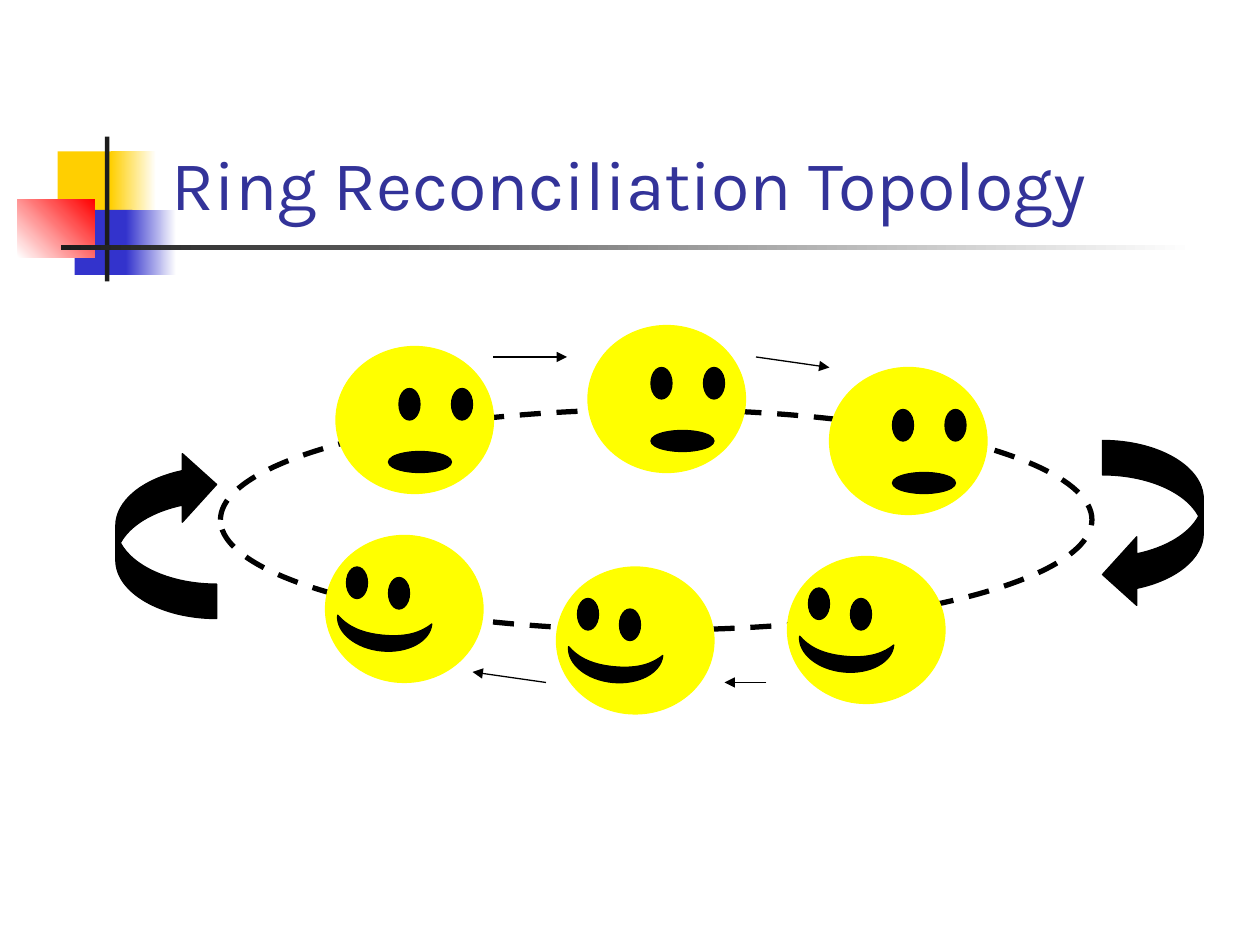
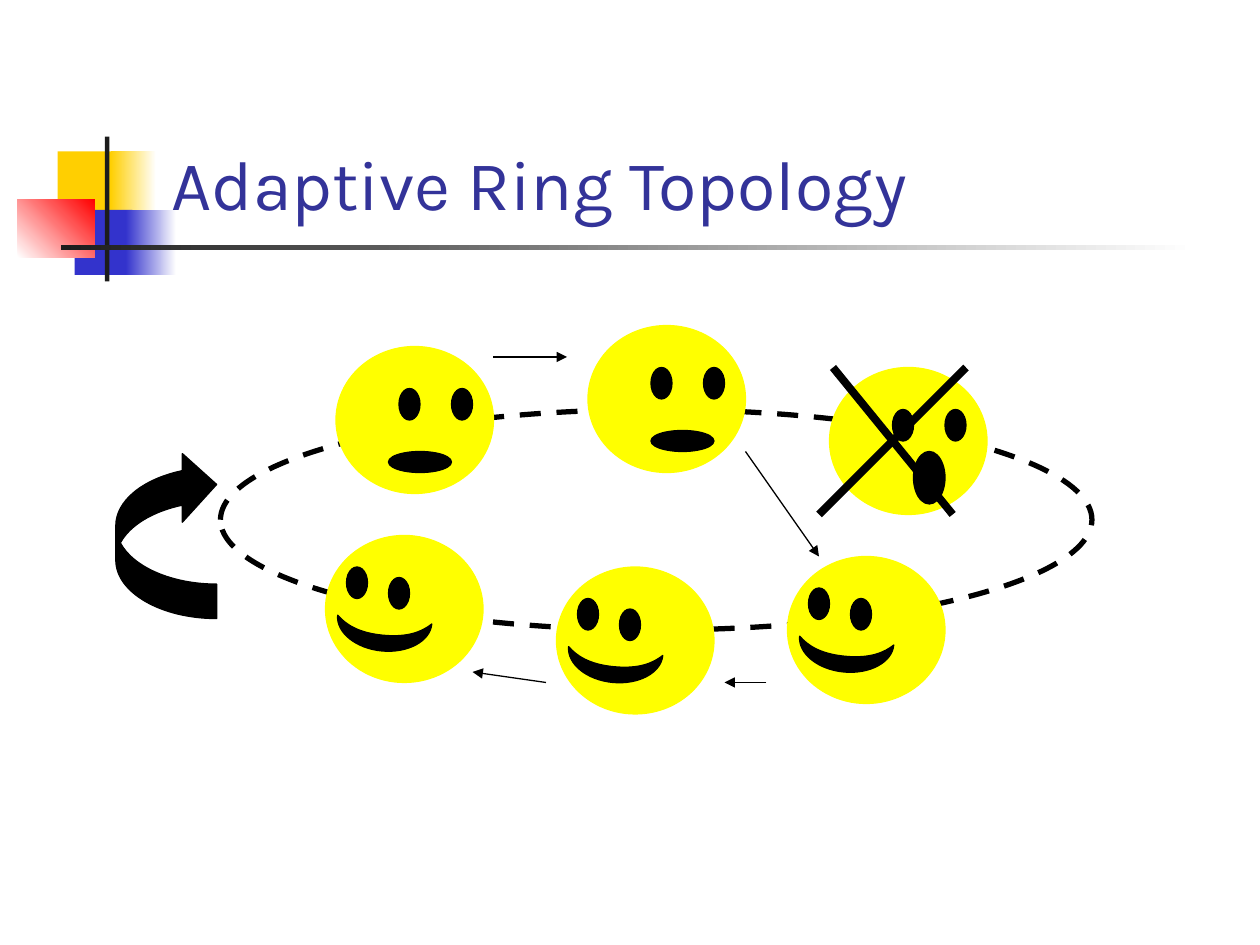
import math

import pptx
import pptx.dml.color
import pptx.enum.dml
import pptx.enum.shapes
import pptx.enum.text
import pptx.oxml
import pptx.oxml.ns
import pptx.util

Pt = pptx.util.Pt
RGBColor = pptx.dml.color.RGBColor
SHAPE = pptx.enum.shapes.MSO_SHAPE
qn = pptx.oxml.ns.qn
DRAWING_NS = pptx.oxml.ns.nsdecls("a")

WHITE = RGBColor(0xFF, 0xFF, 0xFF)
BLACK = RGBColor(0x00, 0x00, 0x00)
FACE_YELLOW = RGBColor(0xFF, 0xFF, 0x00)
GOLD = RGBColor(0xFF, 0xCF, 0x01)
BLUE = RGBColor(0x33, 0x33, 0xCC)
RED = RGBColor(0xFF, 0x00, 0x00)
CHARCOAL = RGBColor(0x1C, 0x1C, 0x1C)
TITLE_BLUE = RGBColor(0x33, 0x33, 0x99)
TITLE_FONT = "Karla"

RING_BOX = (126, 234, 498, 126)
FACE_SIZE = (90, 84)
EYE_SIZE = (12, 18)
SAD_EYES = [(66, 24), (36, 24)]
HAPPY_EYES = [(36, 24), (12, 18)]
FLAT_MOUTH = (36, 60, 36, 12)
SHIFTED_MOUTH = (30, 60, 36, 12)
GASPING_MOUTH = (48, 48, 18, 30)
SMILE_CORNER = (24, 30)
SMILE_TILT = 275.4
SMILE_START = (18, 0)
SMILE_CURVES = [
    [(8.06, 0), (0, 12.09), (0, 27)],
    [(0, 41.91), (8.06, 54), (18, 54)],
    [(13.4, 49.2), (9, 41.6), (9, 27)],
    [(9, 12.4), (13.4, 4.8), (18, 0)],
]

TOP_LEFT, TOP_MIDDLE, TOP_RIGHT = (192, 198), (336, 186), (474, 210)
HAPPY_FACES = [(450, 318), (318, 324), (186, 306)]
LEFT_TURN_CORNER = (66.2, 259.2)
RIGHT_TURN_CORNER = (630, 251.7)


def paint(shape, color, line_color=None):
    shape.shadow.inherit = False
    shape.fill.solid()
    shape.fill.fore_color.rgb = color
    if line_color is None:
        shape.line.fill.background()
    else:
        shape.line.color.rgb = line_color
        shape.line.width = Pt(0.75)


def add_solid(slide, preset, box, color, line_color=None):
    shape = slide.shapes.add_shape(preset, *map(Pt, box))
    paint(shape, color, line_color)
    return shape


def add_fade(slide, box, start, end, angle=0):
    shape = add_solid(slide, SHAPE.RECTANGLE, box, start)
    shape.fill.gradient()
    shape.fill.gradient_angle = angle
    for stop, color in zip(shape.fill.gradient_stops, (start, end)):
        stop.color.rgb = color


def add_outline(slide, corner, start, segments, rotation=0):
    def place(point):
        return Pt(corner[0] + point[0]), Pt(corner[1] + point[1])

    builder = slide.shapes.build_freeform(*place(start))
    builder.add_line_segments(
        [place(point) for segment in segments for point in segment], close=True)
    outline = builder.convert_to_shape()
    paint(outline, BLACK, BLACK)
    outline.rotation = rotation
    steps = iter(list(outline._element.iter(qn("a:lnTo"))))
    for segment in segments:
        first, *others = [next(steps) for _ in segment]
        if others:
            curve = pptx.oxml.parse_xml(f"<a:cubicBezTo {DRAWING_NS}/>")
            first.addprevious(curve)
            for step in (first, *others):
                curve.append(step[0])
                step.getparent().remove(step)


def add_stroke(slide, start, end, width=0.75, arrow=True):
    stroke = slide.shapes.add_connector(
        pptx.enum.shapes.MSO_CONNECTOR.STRAIGHT, *map(Pt, start + end))
    stroke.line.color.rgb = BLACK
    stroke.line.width = Pt(width)
    if arrow:
        stroke.line._get_or_add_ln().append(
            pptx.oxml.parse_xml(f'<a:tailEnd {DRAWING_NS} type="triangle"/>'))
    stroke._element.spPr.append(
        pptx.oxml.parse_xml(f"<a:effectLst {DRAWING_NS}/>"))


def add_emblem(slide, left, top):
    def at(x, y, width, height):
        return left + x, top + y, width, height

    add_solid(slide, SHAPE.RECTANGLE, at(23, 8.5, 34.5, 37.5), GOLD)
    add_fade(slide, at(53.2, 8.5, 26, 37.5), GOLD, WHITE)
    add_solid(slide, SHAPE.RECTANGLE, at(32.7, 42, 33, 37.2), BLUE)
    add_fade(slide, at(62, 42, 28.8, 37.2), BLUE, WHITE)
    add_fade(slide, at(0, 36, 44.3, 33.2), WHITE, RED, angle=45)
    add_solid(slide, SHAPE.RECTANGLE, at(50, 0, 2.5, 82.8), CHARCOAL)
    add_fade(slide, at(25, 62, 648, 2.8), CHARCOAL, WHITE)


def add_title(slide, box, wording):
    title = slide.shapes.add_textbox(*map(Pt, box))
    frame = title.text_frame
    frame.word_wrap = True
    frame.vertical_anchor = pptx.enum.text.MSO_ANCHOR.BOTTOM
    frame.text = wording
    font = frame.paragraphs[0].runs[0].font
    font.name = TITLE_FONT
    font.size = Pt(40)
    font.color.rgb = TITLE_BLUE


def add_ring(slide, box):
    ring = add_solid(slide, SHAPE.OVAL, box, WHITE, BLACK)
    ring.line.width = Pt(3)
    ring.line.dash_style = pptx.enum.dml.MSO_LINE.DASH


def add_face(slide, corner, eyes):
    left, top = corner
    add_solid(slide, SHAPE.OVAL, corner + FACE_SIZE, FACE_YELLOW, FACE_YELLOW)
    for x, y in eyes:
        add_solid(slide, SHAPE.OVAL, (left + x, top + y) + EYE_SIZE, BLACK, BLACK)


def add_mouth(slide, corner, mouth):
    x, y, width, height = mouth
    add_solid(slide, SHAPE.OVAL, (corner[0] + x, corner[1] + y, width, height),
              BLACK, BLACK)


def add_sad_face(slide, corner, mouth):
    add_face(slide, corner, SAD_EYES)
    add_mouth(slide, corner, mouth)


def add_failed_face(slide, corner):
    left, top = corner
    add_face(slide, corner, SAD_EYES)
    add_stroke(slide, (left + 2, top), (left + 70.4, top + 84), 4.5, arrow=False)
    add_stroke(slide, (left - 6, top + 84), (left + 78, top), 4.5, arrow=False)
    add_mouth(slide, corner, GASPING_MOUTH)


def add_happy_face(slide, corner):
    add_face(slide, corner, HAPPY_EYES)
    smile_corner = (corner[0] + SMILE_CORNER[0], corner[1] + SMILE_CORNER[1])
    add_outline(slide, smile_corner, SMILE_START, SMILE_CURVES, SMILE_TILT)


def arc(center_y, radius_x, radius_y, start, end):
    start, end = math.radians(start), math.radians(end)
    pull = 4 / 3 * math.tan((end - start) / 4)

    def on_ellipse(angle, tangent):
        return (radius_x * (math.cos(angle) - tangent * math.sin(angle)),
                center_y + radius_y * (math.sin(angle) + tangent * math.cos(angle)))

    return [on_ellipse(start, pull), on_ellipse(end, -pull), on_ellipse(end, 0)]


def add_turn_arrow(slide, corner, rotation=0):
    width, radius, band, head = 57.6, 33.4, 19.7, 19.6
    upper, lower = radius, radius + band
    middle = (upper + lower) / 2
    neck = math.degrees(math.acos(head / width))
    cusp = math.degrees(math.asin(band / 2 / radius))
    head_middle = middle + radius * math.sin(math.radians(neck))
    segments = [
        arc(upper, width, radius, -90, 0),
        [(width, lower)],
        arc(lower, width, radius, 0, neck),
        [(head, head_middle + head)],
        [(0, middle + radius)],
        [(head, head_middle - head)],
        [(head, head_middle - band / 2)],
        arc(upper, width, radius, neck, cusp),
        arc(lower, width, radius, -cusp, -90),
    ]
    add_outline(slide, corner, (0, 0), segments, rotation)


def add_topology_slide(deck, wording):
    slide = deck.slides.add_slide(deck.slide_layouts[6])
    add_emblem(slide, 10, 78)
    add_title(slide, (90.9, 16.8, 613.4, 115.2), wording)
    add_ring(slide, RING_BOX)
    add_sad_face(slide, TOP_MIDDLE, FLAT_MOUTH)
    add_sad_face(slide, TOP_LEFT, SHIFTED_MOUTH)
    for corner in HAPPY_FACES:
        add_happy_face(slide, corner)
    add_stroke(slide, (282, 204), (324, 204))
    add_stroke(slide, (438, 390), (414, 390))
    add_stroke(slide, (312, 390), (270, 384))
    add_turn_arrow(slide, LEFT_TURN_CORNER, rotation=180)
    return slide


def add_reconciliation_slide(deck):
    slide = add_topology_slide(deck, "Ring Reconciliation Topology")
    add_sad_face(slide, TOP_RIGHT, FLAT_MOUTH)
    add_stroke(slide, (432, 204), (474, 210))
    add_turn_arrow(slide, RIGHT_TURN_CORNER)


def add_adaptive_slide(deck):
    slide = add_topology_slide(deck, "Adaptive Ring Topology")
    add_stroke(slide, (426, 258), (468, 318))
    add_failed_face(slide, TOP_RIGHT)


def main():
    deck = pptx.Presentation()
    deck.slide_width, deck.slide_height = Pt(720), Pt(540)
    add_reconciliation_slide(deck)
    add_adaptive_slide(deck)
    deck.save("out.pptx")


if __name__ == "__main__":
    main()
